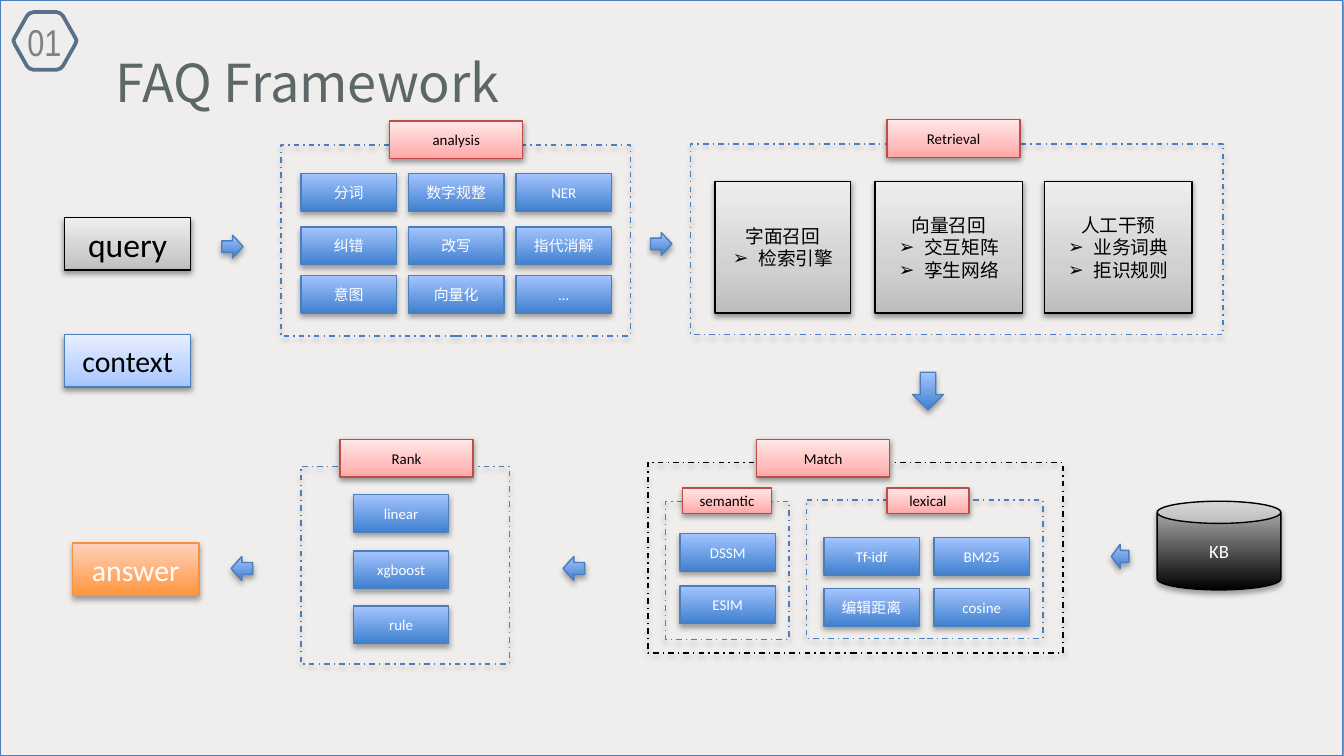
from copy import deepcopy
from lxml.etree import SubElement
from pptx import Presentation
from pptx.dml.color import RGBColor
from pptx.enum.dml import MSO_LINE
from pptx.enum.shapes import MSO_SHAPE
from pptx.enum.text import MSO_ANCHOR, MSO_AUTO_SIZE, PP_ALIGN
from pptx.oxml.ns import qn
from pptx.util import Inches, Pt

COLORS = {
    "back": "BFBFBF", "panel": "EFEEED", "title": "5C6767", "badge": "577188",
    "number": "808080", "edge": "4B7EBC", "black": "000000", "white": "FFFFFF",
    "red": "BF4C48", "amber": "F69240",
}
# Gradient stops from bottom to top, outline, text
STYLES = {
    "gray": (["BDBDBD", "D1D1D1", "EEEEEE"], "black", "black"),
    "sky": (["A4C4FF", "BFD4FF", "E6EEFF"], "edge", "black"),
    "pink": (["FFA6A5", "FFC0BF", "FFE7E7"], "red", "black"),
    "blue": (["3F80CE", "A4C4FF"], "edge", "white"),
    "orange": (["FF953E", "FFD2BD"], "amber", "white"),
    "dark": (["000000", "BDBDBD"], "black", "white"),
    "frame": ([], "edge", "black"),
    "frame black": ([], "black", "black"),
}


def color(name):
    return RGBColor.from_string(COLORS[name])


def add_box(place, style, text="", size=8, kind=MSO_SHAPE.RECTANGLE):
    """Add a shadowed shape; lines of text after the first get a bullet."""
    stops, edge, ink = STYLES[style]
    box = slide.shapes.add_shape(kind, *map(Inches, place))
    box.line.color.rgb = color(edge)
    box.line.width = Pt(0.75)
    light = len(stops) == 3
    if stops:
        box.fill.gradient()
        box.fill.gradient_angle = 90
        if light:
            first = box.element.spPr.find(".//" + qn("a:gs"))
            first.addnext(deepcopy(first))
        spots = (0, 0.35, 1) if light else (0, 1)
        for stop, tone, spot in zip(box.fill.gradient_stops, stops, spots):
            stop.color.rgb = RGBColor.from_string(tone)
            stop.position = spot
    else:
        box.fill.background()
        box.line.dash_style = MSO_LINE.DASH_DOT

    box.shadow.inherit = False
    effects = box.element.spPr.find(qn("a:effectLst"))
    shade = SubElement(effects, qn("a:outerShdw"), blurRad=str(Pt(3.1)),
                       dist=str(Pt(1.6 if light else 1.8)), dir="5400000",
                       rotWithShape="0")
    tone = SubElement(shade, qn("a:srgbClr"), val=COLORS["black"])
    SubElement(tone, qn("a:alpha"), val="38000" if light else "35000")

    if text:
        frame = box.text_frame
        frame.text = text
        frame.vertical_anchor = MSO_ANCHOR.MIDDLE
        for i, para in enumerate(frame.paragraphs):
            para.alignment = PP_ALIGN.CENTER
            font = para.runs[0].font
            font.name, font.size, font.color.rgb = "Calibri", Pt(size), color(ink)
            if i:
                props = para.runs[0]._r.getparent().get_or_add_pPr()
                props.set("marL", str(Inches(0.19)))
                props.set("indent", str(Inches(-0.19)))
                SubElement(props, qn("a:buFont"), typeface="Arial")
                SubElement(props, qn("a:buChar"), char="➢")
    return box


deck = Presentation()
deck.slide_width = Inches(10)
deck.slide_height = Inches(10) * 9 // 16
slide = deck.slides.add_slide(deck.slide_layouts[5])
slide.background.fill.solid()
slide.background.fill.fore_color.rgb = color("back")

# Panel and title
title = slide.shapes.title
panel = add_box((0, 0, 9.99, 5.62), "frame")
panel.fill.solid()
panel.fill.fore_color.rgb = color("panel")
panel.line.dash_style = MSO_LINE.SOLID
title.element.addprevious(panel.element)

title.left, title.top = Inches(0.73), Inches(0.31)
title.width, title.height = Inches(4.66), Inches(0.6)
frame = title.text_frame
frame.text = "FAQ Framework"
frame.auto_size = MSO_AUTO_SIZE.NONE
frame.vertical_anchor = MSO_ANCHOR.MIDDLE
frame.margin_left = frame.margin_right = Inches(0.13)
frame.margin_top = frame.margin_bottom = Inches(0.06)
frame.paragraphs[0].alignment = PP_ALIGN.LEFT
font = frame.paragraphs[0].runs[0].font
font.name, font.size, font.color.rgb = "Noto Sans CJK SC", Pt(28), color("title")

# Numbered badge: the right half is mirrored to the left
right = [(0.42, 0.09), (0.45, 0.1), (0.47, 0.12), (0.56, 0.28), (0.57, 0.3),
         (0.56, 0.33), (0.47, 0.49), (0.45, 0.51), (0.42, 0.52)]
points = right + [(0.67 - x, y) for x, y in reversed(right)]
points = [(Inches(x), Inches(y)) for x, y in points]
outline = slide.shapes.build_freeform(*points[0])
outline.add_line_segments(points[1:])
badge = outline.convert_to_shape()
badge.shadow.inherit = False
badge.fill.background()
badge.line.color.rgb = color("badge")
badge.line.width = Pt(2)

number = slide.shapes.add_textbox(*map(Inches, (0.02, 0.09, 0.62, 0.44)))
frame = number.text_frame
frame.text = "01"
frame.word_wrap = True
frame.paragraphs[0].alignment = PP_ALIGN.CENTER
font = frame.paragraphs[0].runs[0].font
font.name, font.size, font.color.rgb = "Arial Narrow", Pt(20), color("number")

# Dashed frames
for place in [(2.09, 1.08, 2.6, 1.42), (5.14, 1.07, 3.96, 1.42),
              (2.24, 3.47, 1.55, 1.47), (6, 3.72, 1.76, 1.03),
              (4.95, 3.73, 0.92, 1.03)]:
    add_box(place, "frame")
add_box((4.82, 3.44, 3.09, 1.42), "frame black")

# Frame labels
for text, x, y in [("analysis", 2.9, 0.9), ("Retrieval", 6.6, 0.89),
                   ("Match", 5.63, 3.27), ("Rank", 2.53, 3.27)]:
    add_box((x, y, 0.99, 0.28), "pink", text)
add_box((5.08, 3.63, 0.66, 0.19), "pink", "semantic")
add_box((6.6, 3.63, 0.61, 0.19), "pink", "lexical")

# Step grids: column lefts, row tops, rows of text
grids = [
    ((2.24, 3.04, 3.84), (1.29, 1.69, 2.05),
     [("分词", "数字规整", "NER"), ("纠错", "改写", "指代消解"),
      ("意图", "向量化", "…")]),
    ((5.06,), (3.97, 4.36), [("DSSM",), ("ESIM",)]),
    ((6.13, 6.95), (4, 4.38), [("Tf-idf", "BM25"), ("编辑距离", "cosine")]),
    ((2.63,), (3.68, 4.1, 4.51), [("linear",), ("xgboost",), ("rule",)]),
]
for lefts, tops, rows in grids:
    for top, row in zip(tops, rows):
        for left, text in zip(lefts, row):
            add_box((left, top, 0.71, 0.28), "blue", text)

# Retrieval cards
for left, width, text in [(5.32, 1.01, "字面召回\n检索引擎"),
                          (6.51, 1.1, "向量召回\n交互矩阵\n孪生网络"),
                          (7.77, 1.1, "人工干预\n业务词典\n拒识规则")]:
    add_box((left, 1.35, width, 0.98), "gray", text, 10)

# Inputs, output and knowledge base
add_box((0.48, 1.62, 0.94, 0.39), "gray", "query", 18)
add_box((0.48, 2.49, 0.94, 0.39), "sky", "context", 16)
add_box((0.54, 4.04, 0.94, 0.39), "orange", "answer", 16)
add_box((8.61, 3.73, 0.92, 0.66), "dark", "KB", 10, MSO_SHAPE.CAN)

# Flow arrows
for kind, place in [(MSO_SHAPE.RIGHT_ARROW, (1.65, 1.75, 0.16, 0.17)),
                    (MSO_SHAPE.RIGHT_ARROW, (4.84, 1.73, 0.16, 0.17)),
                    (MSO_SHAPE.DOWN_ARROW, (6.79, 2.77, 0.23, 0.28)),
                    (MSO_SHAPE.LEFT_ARROW, (8.27, 4.05, 0.13, 0.18)),
                    (MSO_SHAPE.LEFT_ARROW, (4.19, 4.14, 0.16, 0.18)),
                    (MSO_SHAPE.LEFT_ARROW, (1.72, 4.14, 0.16, 0.18))]:
    add_box(place, "blue", kind=kind)

deck.save("out.pptx")
